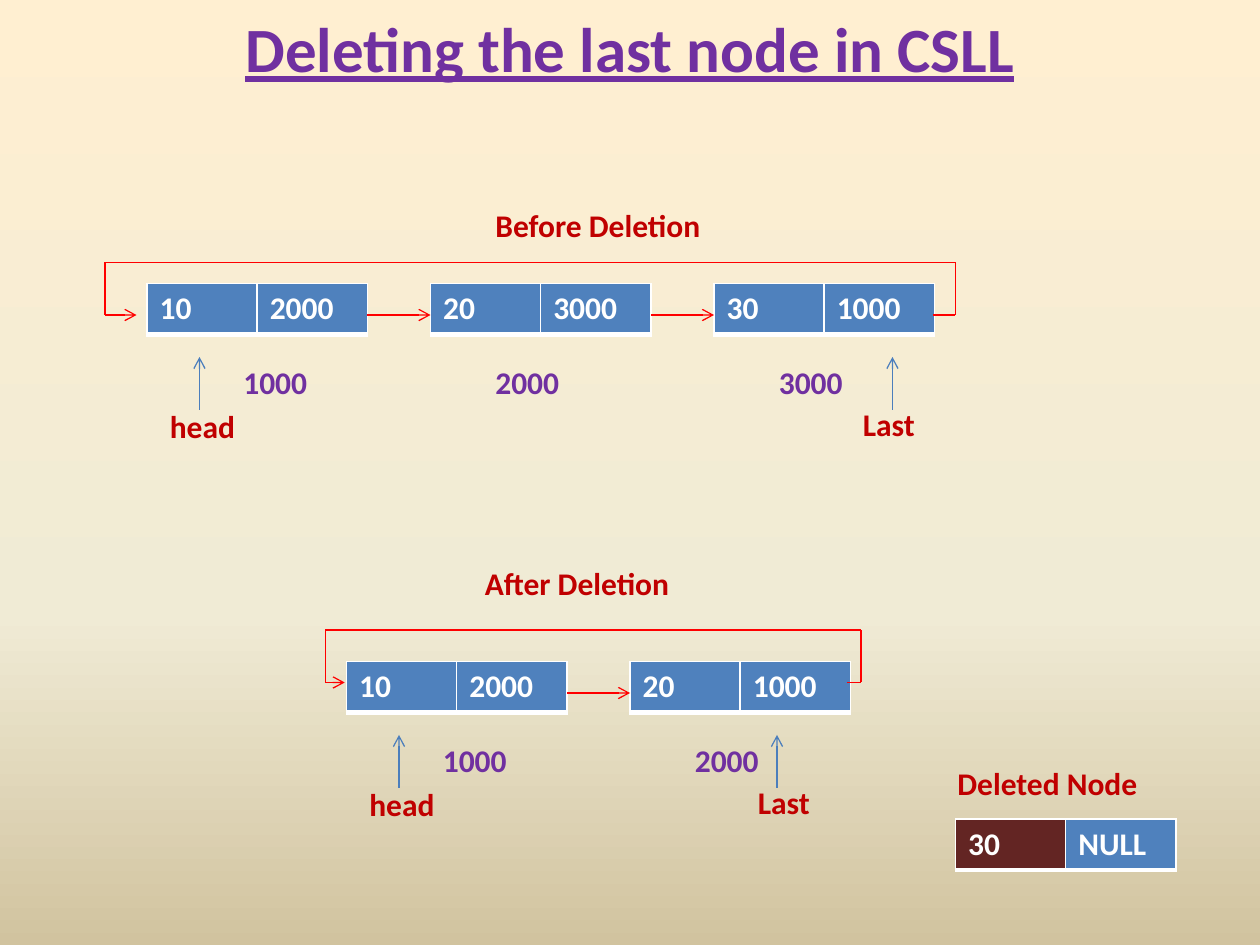
import copy
from dataclasses import dataclass

import pptx
import pptx.dml.color
import pptx.enum.shapes
import pptx.enum.text
import pptx.oxml
import pptx.oxml.ns
import pptx.util
from pptx.util import Pt


def rgb(code: str) -> pptx.dml.color.RGBColor:
    return pptx.dml.color.RGBColor.from_string(code)


@dataclass(frozen=True)
class Theme:
    font: str = "Calibri"
    title_size: float = 36
    body_size: float = 18
    line_width: float = 0.75
    purple: str = "7030A0"
    red: str = "C00000"
    link: str = "FF0000"
    pointer: str = "4B7EBC"
    node: str = "4F81BD"
    deleted: str = "632523"
    white: str = "FFFFFF"
    background: tuple = ((0, "FFEFD1"), (0.65, "F0EBD5"), (1, "D1C39F"))


THEME = Theme()
CELL_WIDTH, NODE_HEIGHT = 63, 29.2
NODE_WIDTH = 2 * CELL_WIDTH
NODE_PITCH = 162
LABEL_WIDTH, CAPTION_WIDTH, LABEL_HEIGHT = 66, 162, 29


@dataclass(frozen=True)
class Node:
    value: str
    next_address: str
    address: str
    address_left: float


@dataclass(frozen=True)
class Pointer:
    name: str
    arrow_x: float
    label_left: float
    label_drop: float


@dataclass(frozen=True)
class Loop:
    """The line from the last node back to the first."""
    left: float
    right: float
    top: float
    bottom: float
    head_x: float
    last_x: float


@dataclass(frozen=True)
class LinkedList:
    caption: str
    caption_left: float
    caption_top: float
    left: float
    top: float
    nodes: tuple[Node, ...]
    pointers: tuple[Pointer, ...]
    loop: Loop


BEFORE = LinkedList(
    "Before Deletion", 276, 114, 84, 162,
    (Node("10", "2000", "1000", 132),
     Node("20", "3000", "2000", 276),
     Node("30", "1000", "3000", 438)),
    (Pointer("head", 114, 90, 67), Pointer("Last", 510, 486, 66)),
    Loop(60, 546, 150, 180, 78, 533))

AFTER = LinkedList(
    "After Deletion", 270, 319, 198, 378,
    (Node("10", "2000", "1000", 246),
     Node("20", "1000", "2000", 390)),
    (Pointer("head", 228, 204, 67), Pointer("Last", 444, 426, 66)),
    Loop(186, 492, 360, 390, 197, 484))


def style_font(font, color: str, size: float = THEME.body_size) -> None:
    font.name = THEME.font
    font.size = Pt(size)
    font.bold = True
    font.color.rgb = rgb(color)


def paint_background(slide) -> None:
    fill = slide.background.fill
    fill.gradient()
    fill.gradient_angle = 270
    stop_list = slide.element.find(".//" + pptx.oxml.ns.qn("a:gsLst"))
    stop_list.insert(1, copy.deepcopy(stop_list[0]))
    for stop, (position, color) in zip(fill.gradient_stops, THEME.background):
        stop.position = position
        stop.color.rgb = rgb(color)


def add_label(slide, text: str, left: float, top: float, color: str,
              width: float = LABEL_WIDTH, height: float = LABEL_HEIGHT):
    label = slide.shapes.add_textbox(Pt(left), Pt(top), Pt(width), Pt(height))
    label.text_frame.word_wrap = True
    paragraph = label.text_frame.paragraphs[0]
    paragraph.text = text
    style_font(paragraph.font, color)
    return label


def add_title(slide, text: str) -> None:
    frame = add_label(slide, text, 36, -18, THEME.purple, 648, 90).text_frame
    frame.vertical_anchor = pptx.enum.text.MSO_ANCHOR.MIDDLE
    paragraph = frame.paragraphs[0]
    paragraph.alignment = pptx.enum.text.PP_ALIGN.CENTER
    paragraph.font.size = Pt(THEME.title_size)
    paragraph.font.underline = True


def add_line(shapes, start: tuple, end: tuple, color: str, arrow: bool = False) -> None:
    line = shapes.add_connector(pptx.enum.shapes.MSO_CONNECTOR.STRAIGHT,
                                *map(Pt, start + end))
    line.line.color.rgb = rgb(color)
    line.line.width = Pt(THEME.line_width)
    properties = line.element.spPr
    if arrow:
        pptx.oxml.ns.qn("a:tailEnd")
        tail = properties.find(pptx.oxml.ns.qn("a:ln")).makeelement(
            pptx.oxml.ns.qn("a:tailEnd"), {"type": "arrow"})
        properties.find(pptx.oxml.ns.qn("a:ln")).append(tail)
    properties.append(properties.makeelement(pptx.oxml.ns.qn("a:effectLst"), {}))


def add_borders(cell) -> None:
    for side, width in (("L", 1), ("R", 1), ("T", 1), ("B", 3)):
        cell._tc.get_or_add_tcPr().append(pptx.oxml.parse_xml(
            f'<a:ln{side} {pptx.oxml.ns.nsdecls("a")} w="{Pt(width)}"><a:solidFill>'
            f'<a:srgbClr val="{THEME.white}"/></a:solidFill></a:ln{side}>'))


def add_node(slide, left: float, top: float, value: str, next_address: str,
             value_fill: str = THEME.node) -> None:
    table = slide.shapes.add_table(1, 2, Pt(left), Pt(top),
                                   Pt(NODE_WIDTH), Pt(NODE_HEIGHT)).table
    table.first_row = table.horz_banding = False
    for cell, text, color in zip(table.iter_cells(), (value, next_address),
                                 (value_fill, THEME.node)):
        add_borders(cell)
        cell.fill.solid()
        cell.fill.fore_color.rgb = rgb(color)
        cell.text = text
        style_font(cell.text_frame.paragraphs[0].font, THEME.white)


def add_loop(slide, loop: Loop) -> None:
    shapes = slide.shapes.add_group_shape().shapes
    corners = [(loop.last_x, loop.bottom), (loop.right, loop.bottom),
               (loop.right, loop.top), (loop.left, loop.top),
               (loop.left, loop.bottom), (loop.head_x, loop.bottom)]
    for start, end in zip(corners, corners[1:]):
        add_line(shapes, start, end, THEME.link, arrow=end == corners[-1])


def add_list(slide, chain: LinkedList) -> None:
    add_label(slide, chain.caption, chain.caption_left, chain.caption_top,
              THEME.red, CAPTION_WIDTH)
    link_y, below = chain.top + 18, chain.top + 42
    for index, node in enumerate(chain.nodes):
        left = chain.left + index * NODE_PITCH
        add_node(slide, left, chain.top, node.value, node.next_address)
        add_label(slide, node.address, node.address_left, below, THEME.purple)
        if index:
            add_line(slide.shapes, (left - NODE_PITCH + NODE_WIDTH, link_y),
                     (left, link_y), THEME.link, arrow=True)
    for pointer in chain.pointers:
        add_line(slide.shapes, (pointer.arrow_x, below + 30),
                 (pointer.arrow_x, below), THEME.pointer, arrow=True)
        add_label(slide, pointer.name, pointer.label_left,
                  chain.top + pointer.label_drop, THEME.red)
    add_loop(slide, chain.loop)


def main() -> None:
    deck = pptx.Presentation()
    deck.slide_width, deck.slide_height = Pt(720), Pt(540)
    slide = deck.slides.add_slide(deck.slide_layouts[6])
    paint_background(slide)
    add_title(slide, "Deleting the last node in CSLL")
    for chain in (BEFORE, AFTER):
        add_list(slide, chain)
    add_label(slide, "Deleted Node", 540, 433, THEME.red, CAPTION_WIDTH)
    add_node(slide, 546, 468, "30", "NULL", THEME.deleted)
    deck.save("out.pptx")


if __name__ == "__main__":
    main()
